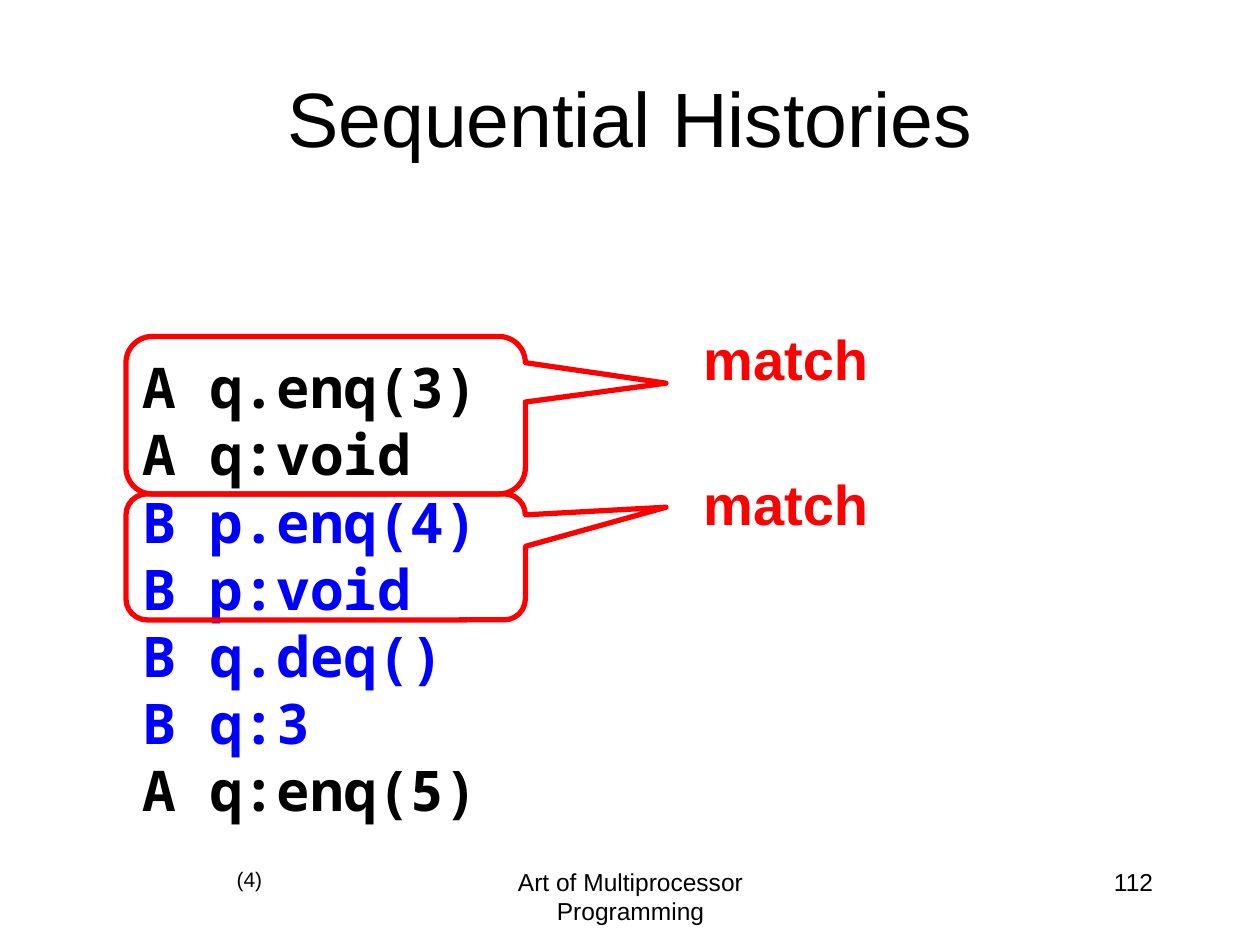
from pptx import Presentation
from pptx.dml.color import RGBColor
from pptx.enum.shapes import MSO_SHAPE
from pptx.enum.text import MSO_ANCHOR, MSO_AUTO_SIZE, PP_ALIGN as ALIGN
from pptx.util import Inches, Pt

BLACK, BLUE, RED = "000000", "0000FF", "FF0000"


def color(value):
    return RGBColor.from_string(value)


def write(paragraph, text, size=32, font="Arial", fill=BLACK, bold=False,
          align=ALIGN.LEFT, spacing=None):
    paragraph.alignment = align
    if spacing:
        paragraph.line_spacing = Pt(spacing)
    run = paragraph.add_run()
    run.text = text
    run.font.name = font
    run.font.size = Pt(size)
    run.font.bold = bold
    run.font.color.rgb = color(fill)


class SlideBuilder:
    """Holds the slide and the style of its elements."""
    code_style = dict(font="Noto Sans Mono", bold=True, spacing=38.4)
    match_style = dict(fill=RED, bold=True, align=ALIGN.RIGHT)

    def __init__(self, presentation):
        self.slide = presentation.slides.add_slide(presentation.slide_layouts[5])

    def title(self, text, *box):
        shape = self.slide.shapes.title
        shape.left, shape.top, shape.width, shape.height = map(Inches, box)
        shape.text_frame.vertical_anchor = MSO_ANCHOR.MIDDLE
        write(shape.text_frame.paragraphs[0], text, size=44, align=ALIGN.CENTER)

    def text_box(self, box, shapes=None, wrap=True, grow=False):
        shapes = shapes or self.slide.shapes
        frame = shapes.add_textbox(*map(Inches, box)).text_frame
        frame.word_wrap = wrap
        if grow:
            frame.auto_size = MSO_AUTO_SIZE.SHAPE_TO_FIT_TEXT
        return frame

    def label(self, text, *box, shapes=None, wrap=True, grow=False, **style):
        frame = self.text_box(box, shapes, wrap, grow)
        write(frame.paragraphs[0], text, **style)

    def code(self, lines, *box):
        frame = self.text_box(box, grow=True)
        for index, (text, fill) in enumerate(lines):
            paragraph = frame.add_paragraph() if index else frame.paragraphs[0]
            write(paragraph, text, fill=fill, **self.code_style)

    def match(self, top, height, pointer, label_top):
        """Outline a matching call and response, and label the pair."""
        shapes = self.slide.shapes.add_group_shape().shapes
        callout = shapes.add_shape(
            MSO_SHAPE.ROUNDED_RECTANGULAR_CALLOUT,
            *map(Inches, (1, top, 3.17, height)))
        callout.shadow.inherit = False
        callout.fill.background()
        callout.line.color.rgb = color(RED)
        callout.line.width = Pt(3)
        for index, value in enumerate((0.852, pointer, 0.167)):
            callout.adjustments[index] = value
        self.label("match", 5.47, label_top, 1.52, 0.64, shapes=shapes,
                   wrap=False, grow=True, **self.match_style)


def main():
    presentation = Presentation()
    presentation.slide_width = Inches(10)
    presentation.slide_height = Inches(7.5)

    builder = SlideBuilder(presentation)
    builder.label("Art of Multiprocessor Programming", 3.42, 6.83, 3.17, 0.5,
                  size=14, align=ALIGN.CENTER)
    builder.label("112", 7.17, 6.83, 2.08, 0.5, size=14, align=ALIGN.RIGHT)
    builder.title("Sequential Histories", 0.5, 0.3, 9, 1.25)
    builder.code([("A q.enq(3)", BLACK), ("A q:void", BLACK),
                  ("B p.enq(4)", BLUE), ("B p:void", BLUE),
                  ("B q.deq()", BLUE), ("B q:3", BLUE),
                  ("A q:enq(5)", BLACK)], 1.03, 2.75, 3.05, 3.83)
    builder.match(top=2.67, height=1.25, pointer=-0.203, label_top=2.53)
    builder.match(top=3.92, height=1, pointer=-0.394, label_top=3.68)
    builder.label("(4)", 1.77, 6.83, 0.41, 0.3, wrap=False, grow=True,
                  size=12, align=ALIGN.RIGHT)
    presentation.save("out.pptx")


if __name__ == "__main__":
    main()
